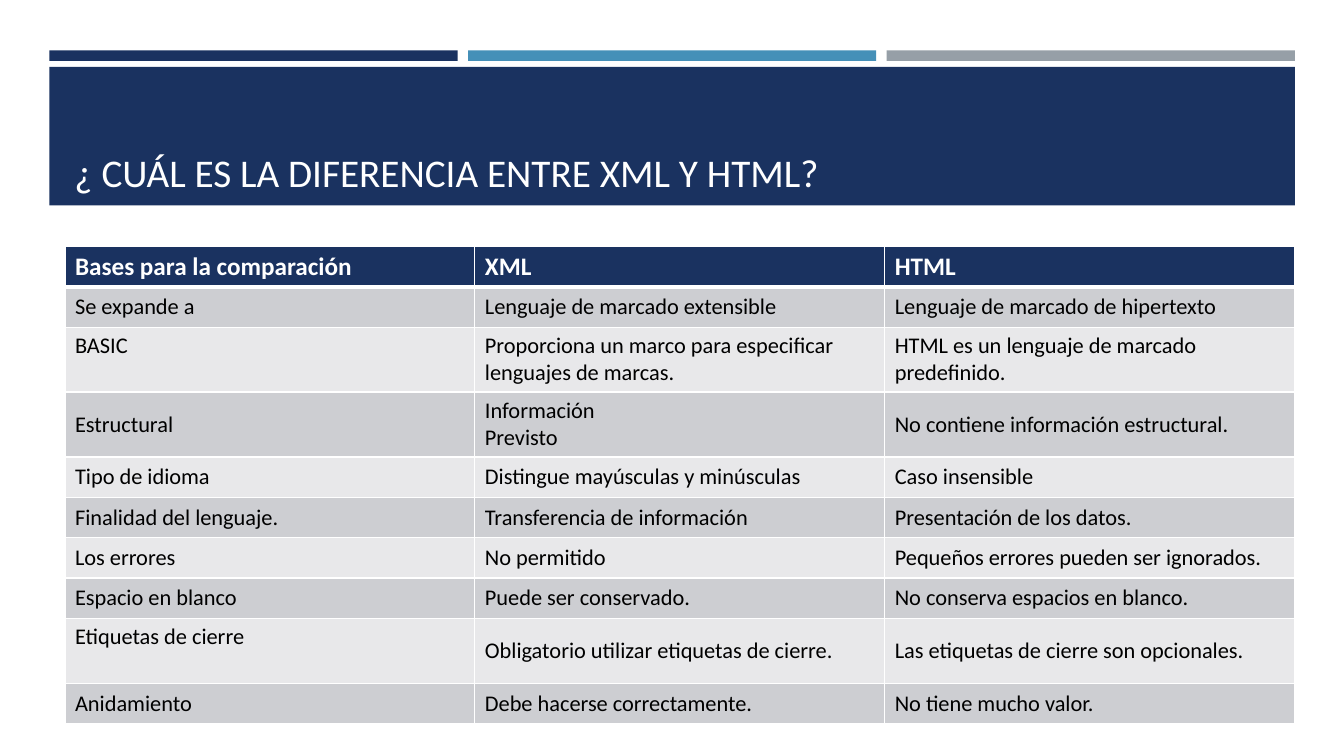
from lxml import etree
from pptx import Presentation
from pptx.dml.color import RGBColor
from pptx.enum.shapes import MSO_SHAPE
from pptx.enum.text import MSO_ANCHOR, MSO_AUTO_SIZE, PP_ALIGN
from pptx.oxml.ns import qn
from pptx.util import Pt

COLORS = {"navy": "1A3260", "blue": "4590B8", "gray": "969FA7", "white": "FFFFFF",
          "black": "000000", "odd": "CDCED2", "even": "E8E8EA"}


def rgb(name):
    return RGBColor.from_string(COLORS[name])


def set_font(p, size, color, bold=False):
    values = {"name": "Calibri", "size": Pt(size), "bold": bold}
    for r in p.runs:
        for key, value in values.items():
            setattr(r.font, key, value)
        r.font.color.rgb = rgb(color)


prs = Presentation()
prs.slide_width, prs.slide_height = Pt(960), Pt(540)
s = prs.slides.add_slide(prs.slide_layouts[5])
title = s.shapes.title

# Top strips and title banner, placed behind the title
bars = [(35.3 + i * 299, 36, 291.6, 7.6, color)
        for i, color in enumerate(["navy", "blue", "gray"])]
bars.append((35.3, 47.8, 889.7, 99, "navy"))
for x, y, w, h, color in bars:
    sp = s.shapes.add_shape(MSO_SHAPE.RECTANGLE, Pt(x), Pt(y), Pt(w), Pt(h))
    sp.shadow.inherit = False
    sp.fill.solid()
    sp.fill.fore_color.rgb = rgb(color)
    sp.line.fill.background()
    title.element.addprevious(sp.element)

# Title
title.left, title.top, title.width, title.height = Pt(46), Pt(57.6), Pt(870.5), Pt(85.7)
tf = title.text_frame
tf.text = "¿ CUÁL ES LA DIFERENCIA ENTRE XML Y HTML?"
tf.auto_size = MSO_AUTO_SIZE.NONE
tf.word_wrap = True
tf.vertical_anchor = MSO_ANCHOR.BOTTOM
p = tf.paragraphs[0]
p.alignment = PP_ALIGN.LEFT
p.line_spacing = 0.9
set_font(p, 28, "white")

# Comparison table
rows = [
    ("Bases para la comparación", "XML", "HTML"),
    ("Se expande a", "Lenguaje de marcado extensible", "Lenguaje de marcado de hipertexto"),
    ("BASIC", "Proporciona un marco para especificar lenguajes de marcas.",
     "HTML es un lenguaje de marcado predefinido."),
    ("Estructural", "Información\vPrevisto", "No contiene información estructural."),
    ("Tipo de idioma", "Distingue mayúsculas y minúsculas", "Caso insensible"),
    ("Finalidad del lenguaje.", "Transferencia de información", "Presentación de los datos."),
    ("Los errores", "No permitido", "Pequeños errores pueden ser ignorados."),
    ("Espacio en blanco", "Puede ser conservado.", "No conserva espacios en blanco."),
    ("Etiquetas de cierre", "Obligatorio utilizar etiquetas de cierre.",
     "Las etiquetas de cierre son opcionales."),
    ("Anidamiento", "Debe hacerse correctamente.", "No tiene mucho valor."),
]
tall_rows = {2, 3, 8}
top_cells = {"BASIC", "Etiquetas de cierre"}
heights = [46.4 if i in tall_rows else 28.8 for i in range(len(rows))]
table = s.shapes.add_table(len(rows), 3, Pt(46.4), Pt(175.7), Pt(878.4),
                           Pt(sum(heights))).table
for col in table.columns:
    col.width = Pt(292.8)

for i, texts in enumerate(rows):
    table.rows[i].height = Pt(heights[i])
    header = i == 0
    for j, text in enumerate(texts):
        cell = table.cell(i, j)
        cell.text = text
        top = header or text in top_cells
        cell.vertical_anchor = MSO_ANCHOR.TOP if top else MSO_ANCHOR.MIDDLE
        set_font(cell.text_frame.paragraphs[0], 18 if header else 16,
                 "white" if header else "black", header)

        # White borders, thicker under the header
        tcPr = cell._tc.get_or_add_tcPr()
        widths = {"lnL": 1, "lnR": 1, "lnT": 3 if i == 1 else 1, "lnB": 3 if header else 1}
        for side, width in widths.items():
            ln = etree.SubElement(tcPr, qn("a:" + side), w=str(Pt(width)))
            fill = etree.SubElement(ln, qn("a:solidFill"))
            etree.SubElement(fill, qn("a:srgbClr"), val=COLORS["white"])
        cell.fill.solid()
        cell.fill.fore_color.rgb = rgb("navy" if header else "odd" if i % 2 else "even")

prs.save("out.pptx")
